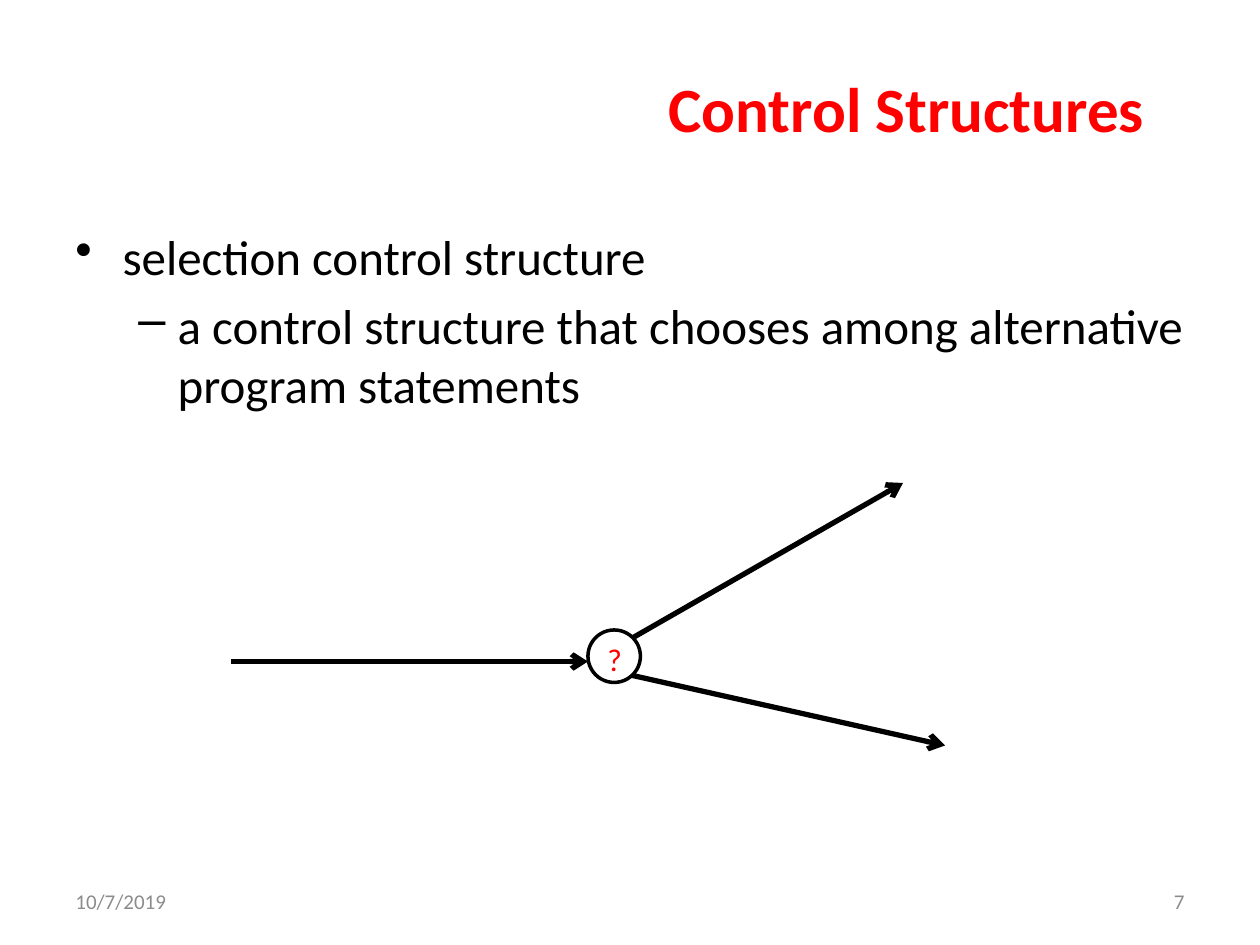
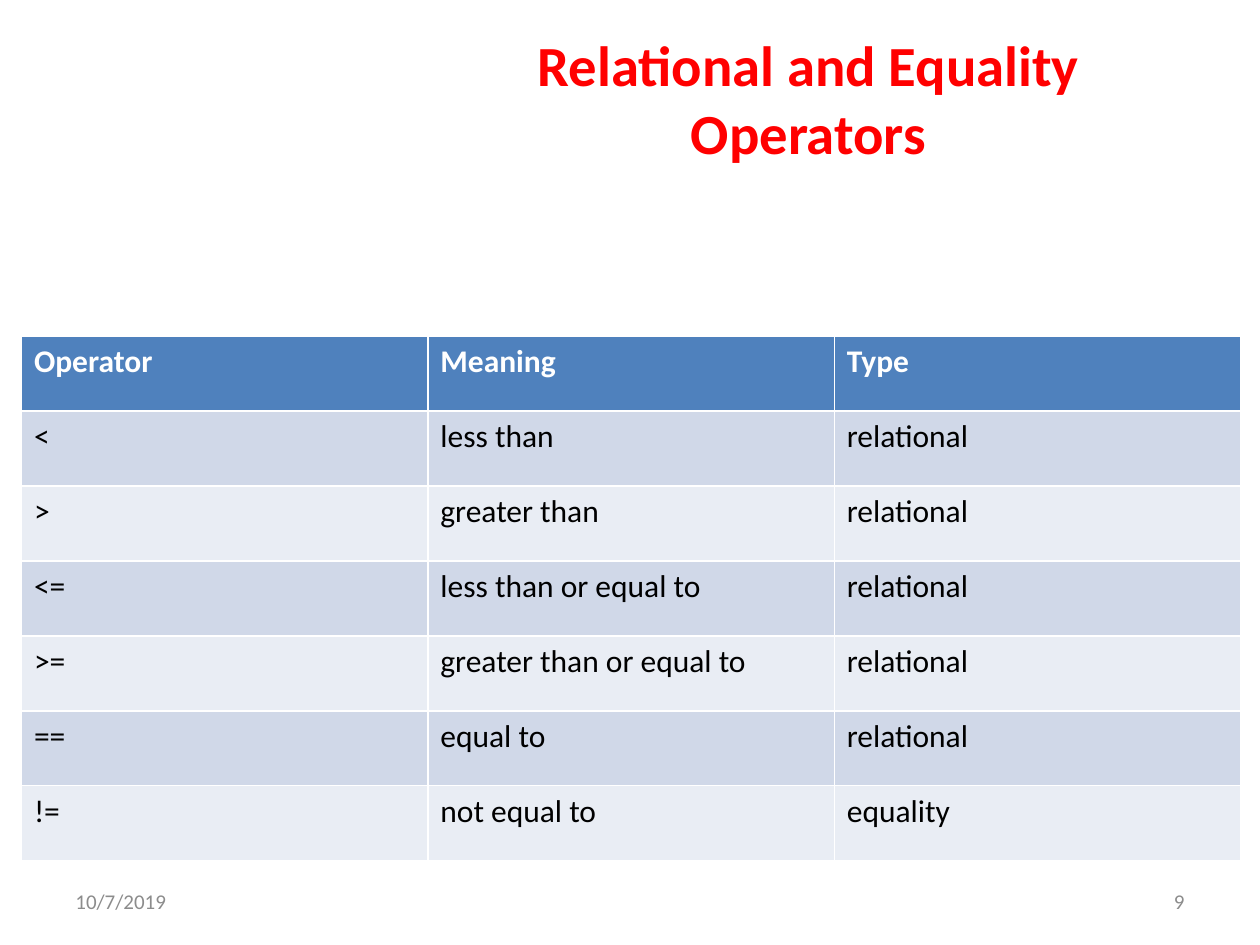
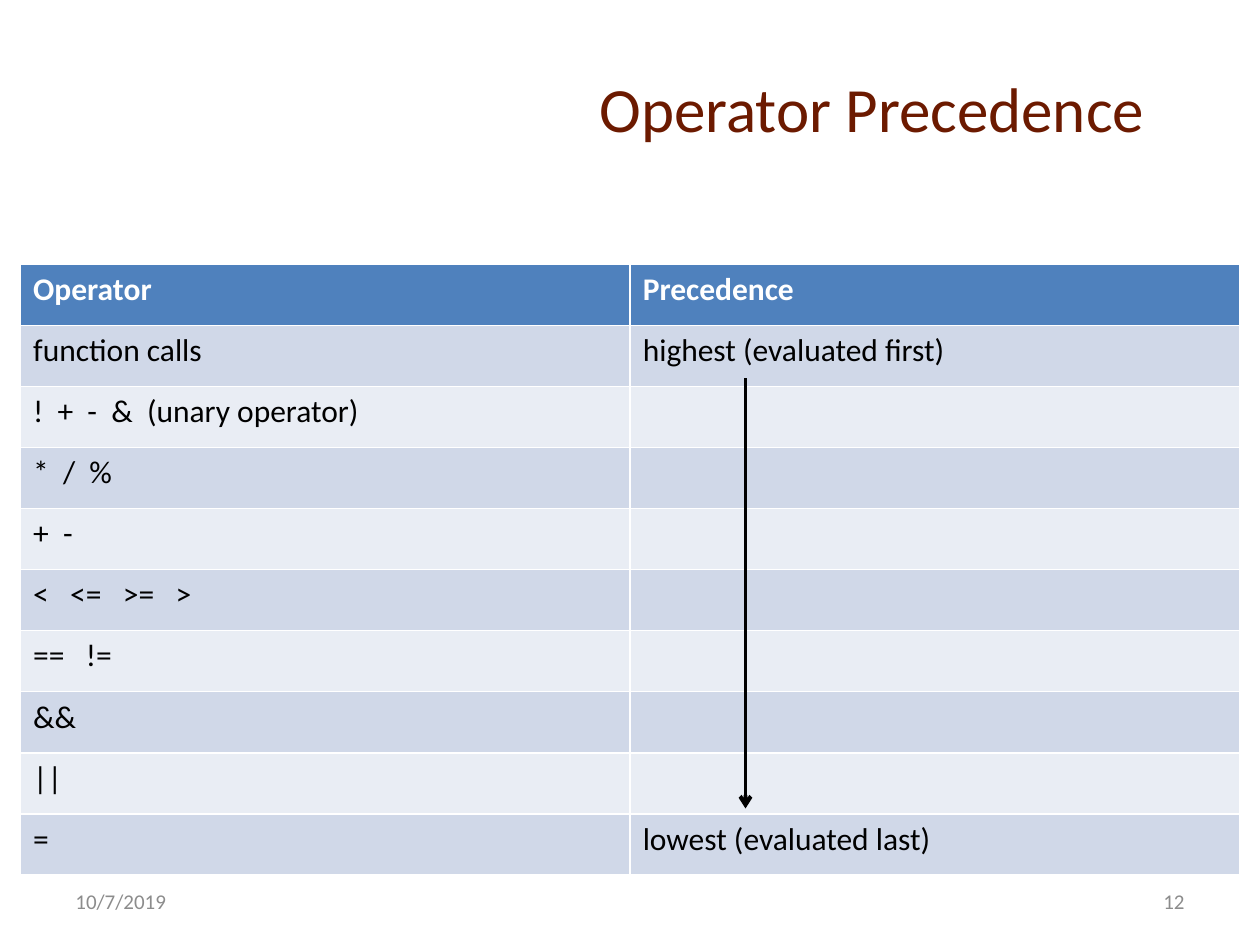
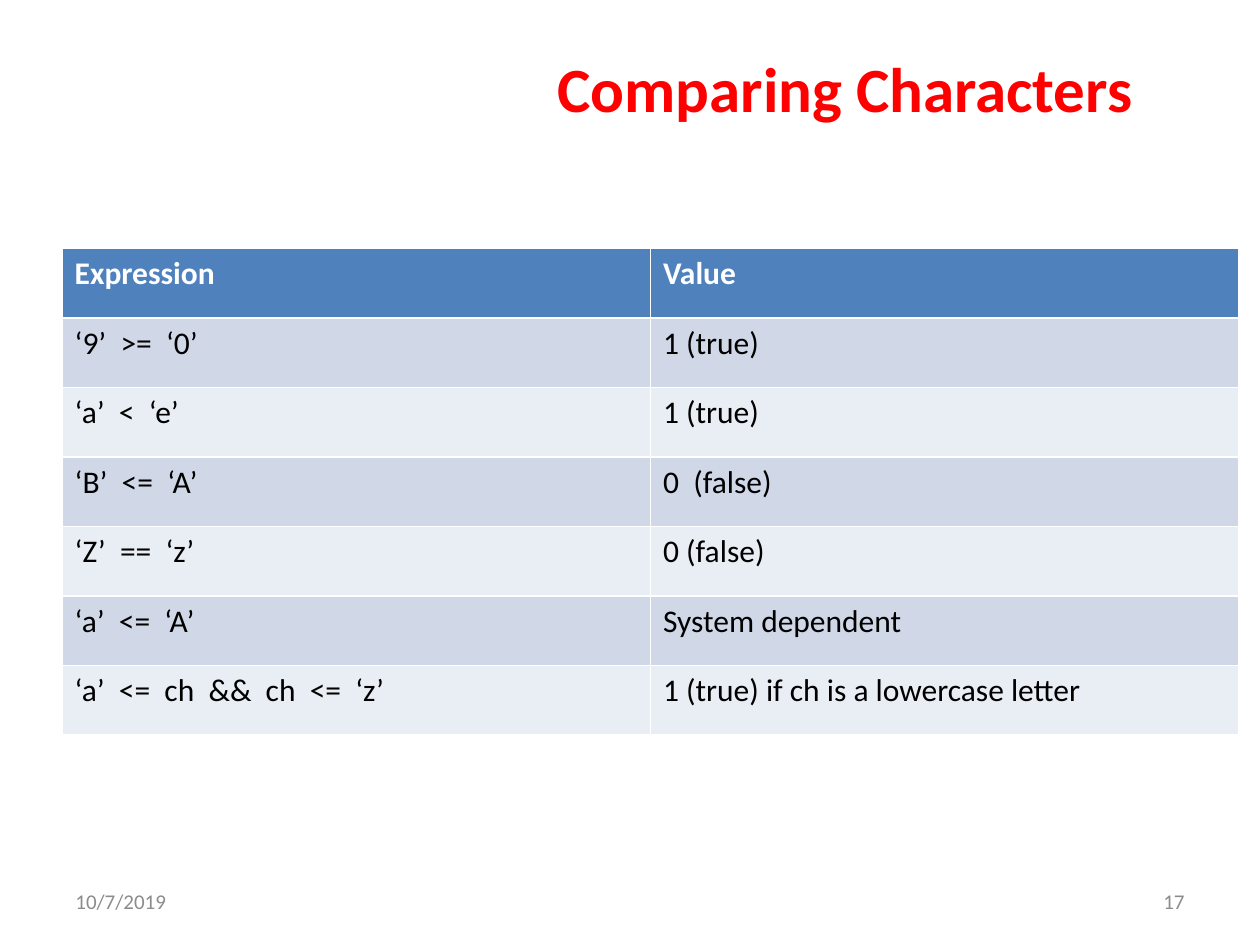
from lxml.etree import SubElement
from pptx import Presentation
from pptx.dml.color import RGBColor
from pptx.enum.shapes import MSO_CONNECTOR, MSO_SHAPE
from pptx.enum.text import MSO_ANCHOR, MSO_AUTO_SIZE, PP_ALIGN
from pptx.oxml.ns import qn
from pptx.util import Pt

FONT = "Calibri"
RED = "FF0000"
BROWN = "6C1A00"
BLACK = "000000"
WHITE = "FFFFFF"
GRAY = "8C8C8C"
HEADER_FILL = "4F81BD"
BAND_FILLS = ["E9EDF4", "D0D8E8"]
DATE = "10/7/2019"
LEFT, CENTER, RIGHT = PP_ALIGN.LEFT, PP_ALIGN.CENTER, PP_ALIGN.RIGHT


def add_text(slide, text, box, size, color, align=LEFT, bold=False, anchor=MSO_ANCHOR.MIDDLE):
    shape = slide.shapes.add_textbox(*[Pt(value) for value in box])
    frame = shape.text_frame
    frame.word_wrap = True
    frame.vertical_anchor = anchor
    frame.text = text
    for paragraph in frame.paragraphs:
        paragraph.alignment = align
        paragraph.font.name = FONT
        paragraph.font.size = Pt(size)
        paragraph.font.bold = bold
        paragraph.font.color.rgb = RGBColor.from_string(color)
    return frame


def add_arrow(slide, start, end, width):
    points = [Pt(value) for value in start + end]
    connector = slide.shapes.add_connector(MSO_CONNECTOR.STRAIGHT, *points)
    connector.line.width = Pt(width)
    connector.line.color.rgb = RGBColor.from_string(BLACK)
    SubElement(connector.line._get_or_add_ln(), qn("a:tailEnd"), type="arrow")
    SubElement(connector._element.spPr, qn("a:effectLst"))


presentation = Presentation()
presentation.slide_width = Pt(720)
presentation.slide_height = Pt(540)

pages = [
    ("7", "Control Structures", (264, 29.5, 397, 64), 36, RED, RIGHT),
    ("9", "Relational and Equality Operators", (258, 24, 408, 64), 32.4, RED, CENTER),
    ("12", "Operator Precedence", (11.5, 29.5, 649.5, 64), 36, BROWN, RIGHT),
    ("17", "Comparing Characters", (270, 18, 384.5, 64), 36, RED, RIGHT),
]
slides = []
for number, title, box, size, color, align in pages:
    slide = presentation.slides.add_slide(presentation.slide_layouts[6])
    add_text(slide, title, box, size, color, align, bold=color == RED)
    add_text(slide, DATE, (36, 500.5, 168, 28.75), 12, GRAY)
    add_text(slide, number, (516, 500.5, 168, 28.75), 12, GRAY, RIGHT)
    slides.append(slide)
selection_slide, relational_slide, precedence_slide, characters_slide = slides

bullet_text = (
    "selection control structure\n"
    "a control structure that chooses among alternative program statements"
)
body = add_text(selection_slide, bullet_text, (36, 126, 648, 144), 28, BLACK, anchor=MSO_ANCHOR.TOP)
bullets = [(0, "•", 27, -27), (1, "–", 58.5, -22.5)]
for paragraph, (level, mark, margin, indent) in zip(body.paragraphs, bullets):
    paragraph.level = level
    properties = paragraph._p.get_or_add_pPr()
    properties.set("marL", str(Pt(margin)))
    properties.set("indent", str(Pt(indent)))
    bullet = properties.makeelement(qn("a:buChar"), {"char": mark})
    properties.insert_element_before(bullet, "a:tabLst", "a:defRPr", "a:extLst")
body.paragraphs[1].space_before = Pt(5.6)

add_arrow(selection_slide, (132, 378), (336, 378), 3)
decision = selection_slide.shapes.add_shape(MSO_SHAPE.OVAL, Pt(336), Pt(360), Pt(30), Pt(30))
decision.shadow.inherit = False
decision.fill.background()
decision.line.width = Pt(2)
decision.line.color.rgb = RGBColor.from_string(BLACK)
question = add_text(selection_slide, "?", (340, 362, 23, 29), 18, RED, anchor=MSO_ANCHOR.TOP)
question.word_wrap = False
question.auto_size = MSO_AUTO_SIZE.SHAPE_TO_FIT_TEXT
add_arrow(selection_slide, (361.5, 364.5), (516, 276), 3)
add_arrow(selection_slide, (361.5, 386), (540, 426), 3)

relational_rows = [
    ("Operator", "Meaning", "Type"),
    ("<", "less than", "relational"),
    (">", "greater than", "relational"),
    ("<=", "less than or equal to", "relational"),
    (">=", "greater than or equal to", "relational"),
    ("==", "equal to", "relational"),
    ("!=", "not equal to", "equality"),
]
precedence_rows = [
    ("Operator", "Precedence"),
    ("function calls", "highest (evaluated first)"),
    ("!  +  -  &  (unary operator)", ""),
    ("*  /  %", ""),
    ("+  -", ""),
    ("<   <=   >=   >", ""),
    ("==   !=", ""),
    ("&&", ""),
    ("||", ""),
    ("=", "lowest (evaluated last)"),
]
character_rows = [
    ("Expression", "Value"),
    ("‘9’  >=  ‘0’", "1 (true)"),
    ("‘a’  <  ‘e’", "1 (true)"),
    ("‘B’  <=  ‘A’", "0  (false)"),
    ("‘Z’  ==  ‘z’", "0 (false)"),
    ("‘a’  <=  ‘A’", "System dependent"),
    ("‘a’  <=  ch  &&  ch  <=  ‘z’", "1 (true) if ch is a lowercase letter"),
]
tables = [
    (relational_slide, relational_rows, (12.25, 192, 696.75, 300)),
    (precedence_slide, precedence_rows, (11.75, 151, 696.75, 349)),
    (characters_slide, character_rows, (35.5, 142, 672.5, 278)),
]
for slide, rows, box in tables:
    position = [Pt(value) for value in box]
    table = slide.shapes.add_table(len(rows), len(rows[0]), *position).table
    for row_index, row in enumerate(rows):
        is_header = row_index == 0
        fill = HEADER_FILL if is_header else BAND_FILLS[row_index % 2]
        for column_index, text in enumerate(row):
            cell = table.cell(row_index, column_index)
            cell.fill.solid()
            cell.fill.fore_color.rgb = RGBColor.from_string(fill)
            cell.text = text
            font = cell.text_frame.paragraphs[0].font
            font.name = FONT
            font.size = Pt(18)
            font.bold = is_header
            font.color.rgb = RGBColor.from_string(WHITE if is_header else BLACK)

add_arrow(precedence_slide, (426, 216), (426, 462), 2.25)

presentation.save("out.pptx")
